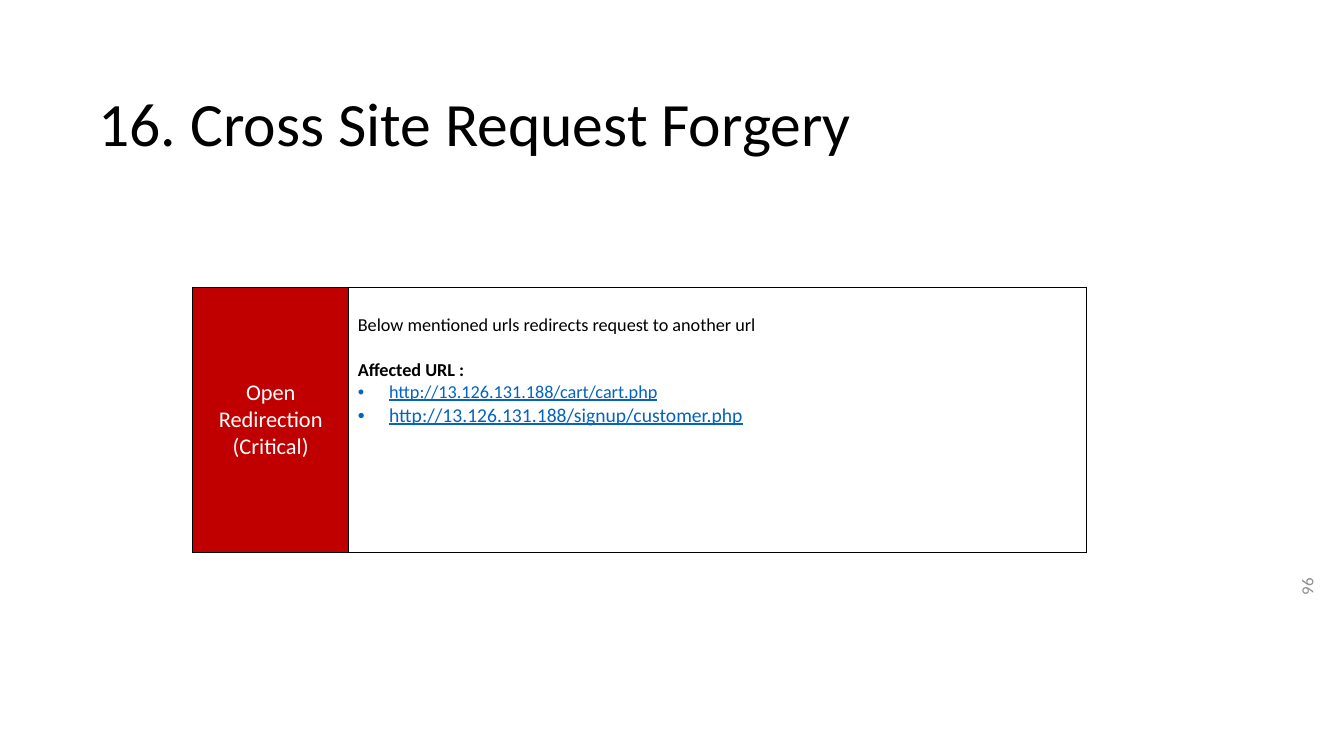
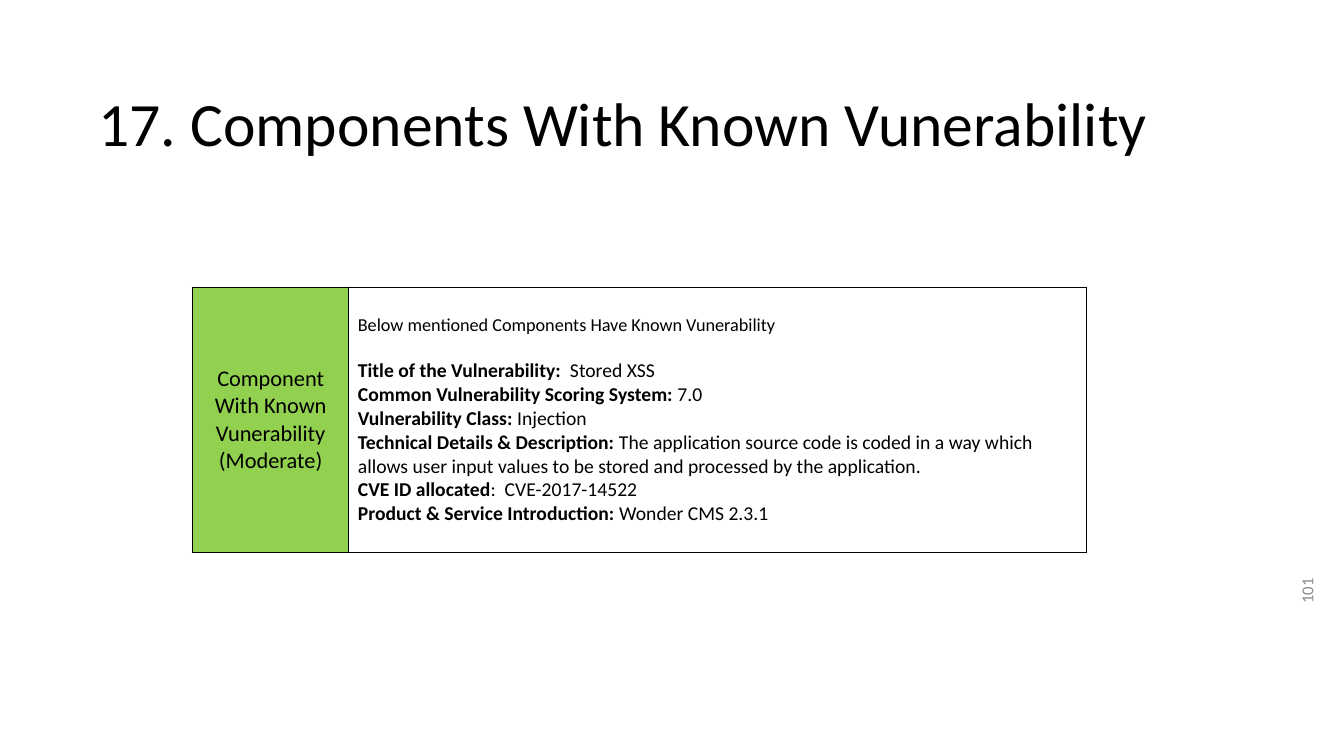
from pptx import Presentation
from pptx.dml.color import RGBColor
from pptx.enum.text import MSO_ANCHOR as Anchor, PP_ALIGN as Align
from pptx.oxml.ns import qn
from pptx.util import Pt
from lxml.etree import SubElement

EMU_PER_PX = 9144  # 100 px to the inch
COLORS = {
    "ink": "000000",
    "paper": "FFFFFF",
    "muted": "8C8C8C",
    "link": "0563C1",
    "critical": "C00000",
    "moderate": "92D050",
}


def px(length):
    return length * EMU_PER_PX


def rgb(name):
    return RGBColor.from_string(COLORS[name])


class Deck:
    FONT = "Calibri"
    COLUMNS = (155, 732)
    ROWS = (45, 263)
    ALL_SIDES = "LRTB"

    def __init__(self):
        self.prs = Presentation()
        self.prs.slide_width = px(1333)
        self.prs.slide_height = px(750)
        self.slide = None

    def new_slide(self, title, number):
        self.slide = self.prs.slides.add_slide(self.prs.slide_layouts[6])
        self.page_number(number)
        self.title(title)

    def style(self, run, size, color="ink", bold=False, underline=False):
        font = run.font
        font.name, font.size = self.FONT, Pt(size)
        font.bold, font.underline = bold, underline
        font.color.rgb = rgb(color)

    def text_box(self, text, left, top, width, height, size, color="ink"):
        box = self.slide.shapes.add_textbox(px(left), px(top), px(width), px(height))
        frame = box.text_frame
        frame.word_wrap = True
        frame.vertical_anchor = Anchor.MIDDLE
        frame.text = text
        paragraph = frame.paragraphs[0]
        self.style(paragraph.runs[0], size, color)
        return box, paragraph

    def title(self, text):
        _, paragraph = self.text_box(text, 88, 53, 1150, 145, 44)
        paragraph.line_spacing = 0.9

    def page_number(self, number):
        box, paragraph = self.text_box(str(number), 1224, 611, 144, 50, 12, "muted")
        box.rotation = 270
        paragraph.alignment = Align.RIGHT

    def finding(self, name, severity, name_color, intro, details):
        """Open header row above a coloured name and its details."""
        frame = self.slide.shapes.add_table(
            2, 2, px(191), px(240), px(sum(self.COLUMNS)), px(sum(self.ROWS)))
        table = frame.table
        table.first_row = table.horz_banding = False
        for row, height in zip(table.rows, self.ROWS):
            row.height = px(height)
        for column, width in zip(table.columns, self.COLUMNS):
            column.width = px(width)
        for header_cell in table.rows[0].cells:
            self.cell_look(header_cell, None, "B")
        name_cell, detail_cell = table.rows[1].cells
        self.cell_look(name_cell, severity.lower())
        self.cell_look(detail_cell, "paper")

        # Name and severity
        name_cell.vertical_anchor = Anchor.MIDDLE
        name_cell.text_frame.text = f"{name}\n({severity})"
        for paragraph in name_cell.text_frame.paragraphs:
            paragraph.alignment = Align.CENTER
            self.style(paragraph.runs[0], 16, name_color)

        # Introduction, then the details after a gap
        detail_cell.margin_top = px(27)
        body = detail_cell.text_frame
        body.text = intro
        self.style(body.paragraphs[0].runs[0], 13)
        for index, detail in enumerate(details):
            paragraph = body.add_paragraph()
            if index == 0:
                paragraph.space_before = Pt(16)
            detail(paragraph)

    def cell_look(self, cell, fill, sides=ALL_SIDES):
        cell.margin_left = cell.margin_right = px(9)
        properties = cell._tc.get_or_add_tcPr()
        for side in sides:
            line = SubElement(properties, qn(f"a:ln{side}"), w=str(Pt(1)))
            solid = SubElement(line, qn("a:solidFill"))
            SubElement(solid, qn("a:srgbClr"), val=COLORS["ink"])
        if fill is None:
            cell.fill.background()
        else:
            cell.fill.solid()
            cell.fill.fore_color.rgb = rgb(fill)

    def labelled(self, label, value="", size=14):
        def write(paragraph):
            paragraph.text = label
            self.style(paragraph.runs[0], size, bold=True)
            if value:
                run = paragraph.add_run()
                run.text = value
                self.style(run, size)
        return write

    def url(self, address, size):
        def write(paragraph):
            properties = paragraph._p.get_or_add_pPr()
            properties.set("marL", str(px(31)))
            properties.set("indent", str(-px(31)))
            SubElement(properties, qn("a:buFont"), typeface="Arial")
            SubElement(properties, qn("a:buChar"), char="•")
            paragraph.text = address
            self.style(paragraph.runs[0], size, "link", underline=True)
        return write


def main():
    deck = Deck()

    # Cross site request forgery
    deck.new_slide("16. Cross Site Request Forgery", 96)
    deck.finding(
        "Open Redirection", "Critical", "paper",
        "Below mentioned urls redirects request to another url",
        [
            deck.labelled("Affected URL :", size=13),
            deck.url("http://13.126.131.188/cart/cart.php", 13),
            deck.url("http://13.126.131.188/signup/customer.php", 14),
        ])

    # Components with known vulnerability
    deck.new_slide("17. Components With Known Vunerability", 101)
    facts = [
        ("Title of the Vulnerability:", "  Stored XSS"),
        ("Common Vulnerability Scoring System: ", "7.0"),
        ("Vulnerability Class:", " Injection"),
        ("Technical Details & Description:",
         " The application source code is coded in a way which allows user input "
         "values to be stored and processed by the application."),
        ("CVE ID allocated", ":  CVE-2017-14522"),
        ("Product & Service Introduction:", " Wonder CMS 2.3.1"),
    ]
    deck.finding(
        "Component With Known Vunerability", "Moderate", "ink",
        "Below mentioned Components Have Known Vunerability",
        [deck.labelled(label, value) for label, value in facts])

    deck.prs.save("out.pptx")


if __name__ == "__main__":
    main()
